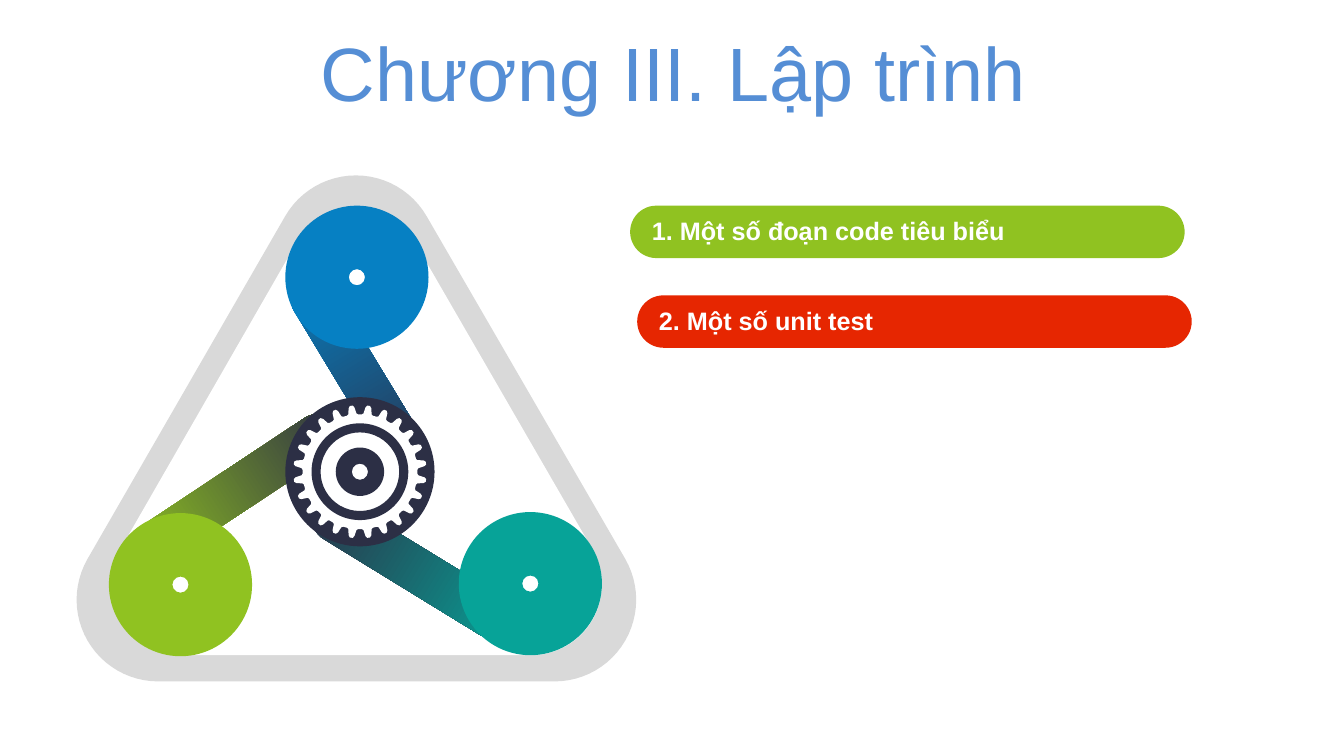
from math import cos, radians, sin

from pptx import Presentation
from pptx.dml.color import RGBColor
from pptx.enum import shapes as kinds, text as layout
from pptx.util import Inches, Pt

BLUE = RGBColor(0x06, 0x80, 0xC3)
GREEN = RGBColor(0x90, 0xC2, 0x21)
TEAL = RGBColor(0x07, 0xA3, 0x98)
RED = RGBColor(0xE6, 0x26, 0x01)
NAVY = RGBColor(0x2C, 0x2F, 0x45)
GREY = RGBColor(0xD9, 0xD9, 0xD9)
WHITE = RGBColor(0xFF, 0xFF, 0xFF)
TITLE_BLUE = RGBColor(0x55, 0x8E, 0xD5)

FONT = "Arial"
TITLE = "Chương III. Lập trình"
SECTIONS = [
    ("1. Một số đoạn code tiêu biểu", GREEN, 6.25, 2.04),
    ("2. Một số unit test", RED, 6.32, 2.93),
]
TRACKS = [
    (GREY, 0.81, [(3.53, 2.55), (5.5, 5.95), (1.57, 5.95)]),
    (WHITE, 0.7, [(3.53, 2.79), (5.27, 5.8), (1.8, 5.8)]),
]
BELTS = [
    (2.16, 3.7, 236.5, GREEN, NAVY),
    (3.88, 4.5, 301.5, NAVY, TEAL),
    (3.36, 2.62, 328.8, BLUE, NAVY),
]
WHEELS = [(3.54, 2.75, BLUE), (1.79, 5.8, GREEN), (5.26, 5.79, TEAL)]
WHEEL_RADIUS, AXLE_RADIUS = 0.71, 0.08
HUB = (3.57, 4.68)
HUB_RADIUS = 0.74
HUB_RINGS = [(0.48, 0.39), (0.24, 0.08)]
TEETH = 24
TOOTH = [(-4, 0.58), (-2.6, 0.64), (-1.2, 0.66), (1.2, 0.66),
         (2.6, 0.64), (4, 0.58), (5.5, 0.57), (9.5, 0.57)]

deck = Presentation()
deck.slide_width, deck.slide_height = Inches(13.33), Inches(7.5)
slide = deck.slides.add_slide(deck.slide_layouts[6])


def paint(shape, color):
    shape.shadow.inherit = False
    shape.fill.solid()
    shape.fill.fore_color.rgb = color
    shape.line.fill.background()


def add_preset(kind, left, top, width, height, color):
    shape = slide.shapes.add_shape(
        kind, Inches(left), Inches(top), Inches(width), Inches(height))
    paint(shape, color)
    return shape


def add_disc(kind, center, radius, color):
    x, y = center
    return add_preset(kind, x - radius, y - radius, 2 * radius, 2 * radius, color)


def add_ring(center, radius, hole, color):
    ring = add_disc(kinds.MSO_SHAPE.DONUT, center, radius, color)
    ring.adjustments[0] = (radius - hole) / (2 * radius)


def add_outline(points, color):
    corners = [(Inches(x), Inches(y)) for x, y in points]
    builder = slide.shapes.build_freeform(*corners[0])
    builder.add_line_segments(corners[1:], close=True)
    paint(builder.convert_to_shape(), color)


def around(center, radius, degrees):
    angle = radians(degrees)
    return center[0] + radius * cos(angle), center[1] + radius * sin(angle)


def write(frame, words, size, color, align):
    frame.word_wrap = True
    frame.vertical_anchor = layout.MSO_ANCHOR.MIDDLE
    paragraph = frame.paragraphs[0]
    paragraph.text = words
    paragraph.alignment = align
    paragraph.font.name = FONT
    paragraph.font.size = Pt(size)
    paragraph.font.color.rgb = color
    return paragraph


for color, radius, corners in TRACKS:
    add_outline([around(corner, radius, -150 + 120 * i + step)
                 for i, corner in enumerate(corners)
                 for step in range(0, 121, 5)], color)

for left, top, turn, start, end in BELTS:
    belt = add_preset(kinds.MSO_SHAPE.ROUNDED_RECTANGLE, left, top, 0.44, 2.27, start)
    belt.adjustments[0] = 0.5
    belt.rotation = turn
    belt.fill.gradient()
    belt.fill.gradient_angle = 270
    for stop, color in zip(belt.fill.gradient_stops, (start, end)):
        stop.color.rgb = color

heading = slide.shapes.add_textbox(Inches(0.35), Inches(0.37), Inches(12.66), Inches(0.79))
write(heading.text_frame, TITLE, 54, TITLE_BLUE, layout.PP_ALIGN.CENTER).line_spacing = 0.9

add_disc(kinds.MSO_SHAPE.OVAL, HUB, HUB_RADIUS, NAVY)
pitch = 360 / TEETH
add_outline([around(HUB, radius, (tooth + 0.5) * pitch + offset)
             for tooth in range(TEETH) for offset, radius in TOOTH], WHITE)
for radius, hole in HUB_RINGS:
    add_ring(HUB, radius, hole, NAVY)

for x, y, color in WHEELS:
    add_ring((x, y), WHEEL_RADIUS, AXLE_RADIUS, color)

for words, color, left, top in SECTIONS:
    pill = add_preset(kinds.MSO_SHAPE.ROUNDED_RECTANGLE, left, top, 5.5, 0.52, color)
    pill.adjustments[0] = 0.5
    frame = pill.text_frame
    frame.margin_left = Inches(0.14)
    frame.margin_top = 0
    frame.margin_bottom = Inches(0.02)
    write(frame, words, 18, WHITE, layout.PP_ALIGN.LEFT).font.bold = True

deck.save("out.pptx")
